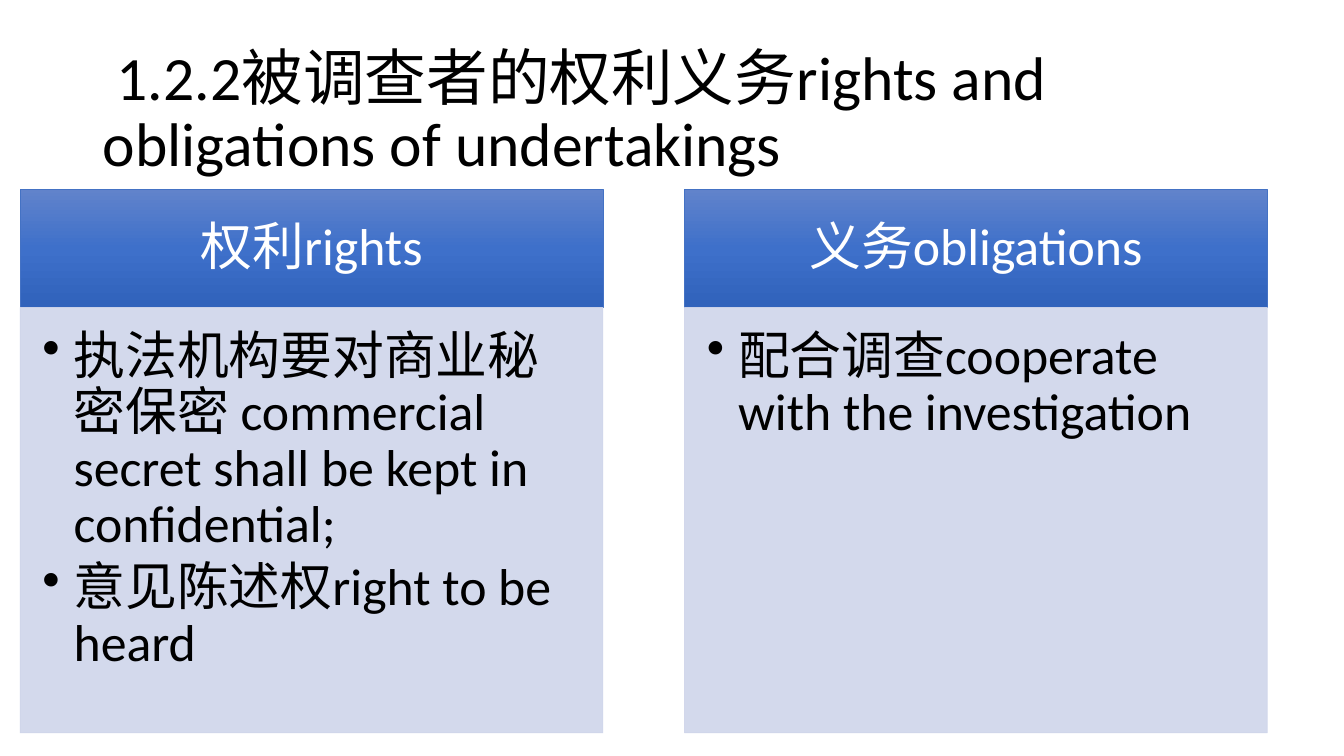
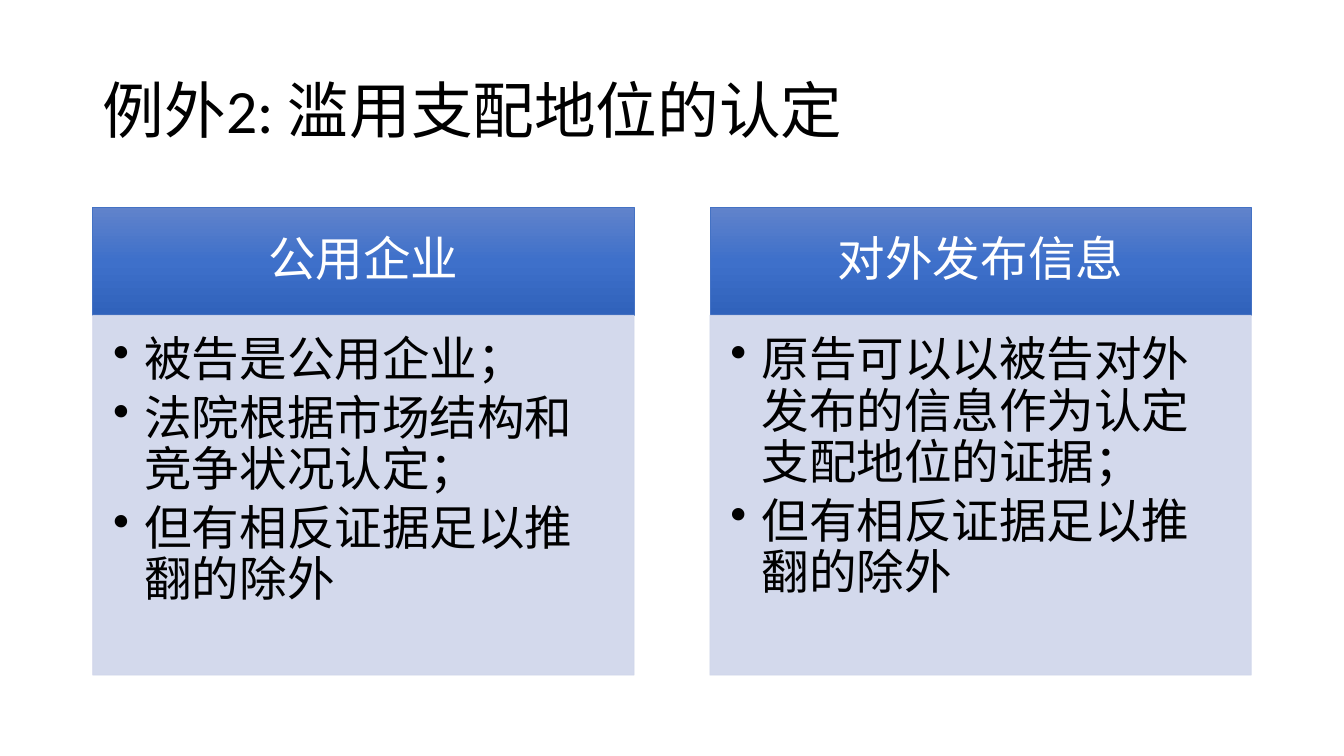
from copy import deepcopy

from pptx import Presentation
from pptx import util as u
from pptx.dml.color import RGBColor
from pptx.enum import shapes, text
from pptx.oxml.ns import qn
from pptx.oxml.xmlchemy import OxmlElement

COLOURS = {
    "ink": "000000",
    "white": "FFFFFF",
    "header_top": "6183CB",
    "header_middle": "3E70CA",
    "header_bottom": "3062BB",
    "header_line": "4472C4",
    "panel": "CFD5EA",
}
FONT = "Calibri"
GAP_SHARE = 0.14
HEADER_INSETS = (0.56, 0.31, 0.56, 0.31)
PANEL_INSETS = (0.43, 0.43, 0.56, 0.63)

SLIDES = [
    {
        "title": " 1.2.2被调查者的权利义务rights and obligations of undertakings",
        "left": 1.5, "top": 25.07, "width": 43.36, "header": 15.6, "panel": 56.27,
        "size": 37,
        "columns": [
            ("权利rights", [
                "执法机构要对商业秘密保密 commercial secret shall be kept in confidential;",
                "意见陈述权right to be heard",
            ]),
            ("义务obligations", ["配合调查cooperate with the investigation"]),
        ],
    },
    {
        "title": "例外2: 滥用支配地位的认定",
        "left": 6.9, "top": 27.4, "width": 40.28, "header": 14.3, "panel": 47.6,
        "size": 34,
        "columns": [
            ("公用企业", [
                "被告是公用企业；",
                "法院根据市场结构和竞争状况认定；",
                "但有相反证据足以推翻的除外",
            ]),
            ("对外发布信息", [
                "原告可以以被告对外发布的信息作为认定支配地位的证据；",
                "但有相反证据足以推翻的除外",
            ]),
        ],
    },
]

deck = Presentation()
deck.slide_width, deck.slide_height = u.Inches(13.33), u.Inches(7.5)
COLUMN, ROW = deck.slide_width / 100, deck.slide_height / 100


def add_block(page, left, top, width, height, line, insets, size):
    box = page.shapes.add_shape(
        shapes.MSO_SHAPE.RECTANGLE,
        round(left * COLUMN), round(top * ROW),
        round(width * COLUMN), round(height * ROW),
    )
    box.shadow.inherit = False
    box.line.color.rgb = RGBColor.from_string(COLOURS[line])
    box.line.width = u.Pt(0.5)
    frame = box.text_frame
    frame.word_wrap = True
    frame.margin_left, frame.margin_top, frame.margin_right, frame.margin_bottom = (
        u.Pt(share * size) for share in insets
    )
    return box


def write(para, words, size, colour, align):
    para.alignment = align
    para.line_spacing = 0.9
    span = para.add_run()
    span.text = words
    span.font.name = FONT
    span.font.size = u.Pt(size)
    span.font.color.rgb = RGBColor.from_string(COLOURS[colour])


for content in SLIDES:
    page = deck.slides.add_slide(deck.slide_layouts[5])
    title = page.shapes.title
    title.left, title.top = round(6.9 * COLUMN), round(5.33 * ROW)
    title.width, title.height = round(86.25 * COLUMN), round(19.33 * ROW)
    title.text_frame.auto_size = text.MSO_AUTO_SIZE.NONE
    title.text_frame.vertical_anchor = text.MSO_ANCHOR.MIDDLE
    write(title.text_frame.paragraphs[0], content["title"], 44, "ink", text.PP_ALIGN.LEFT)

    size, width = content["size"], content["width"]
    for index, (heading, points) in enumerate(content["columns"]):
        left = content["left"] + index * width * (1 + GAP_SHARE)

        header = add_block(page, left, content["top"], width, content["header"],
                           "header_line", HEADER_INSETS, size)
        header.fill.gradient()
        header.fill.gradient_angle = 270
        stop_list = header._element.spPr.find(".//" + qn("a:gsLst"))
        stop_list.append(deepcopy(stop_list[0]))
        names = ("header_top", "header_middle", "header_bottom")
        for step, (stop, name) in enumerate(zip(header.fill.gradient_stops, names)):
            stop.position = step / 2
            stop.color.rgb = RGBColor.from_string(COLOURS[name])
        header.text_frame.vertical_anchor = text.MSO_ANCHOR.MIDDLE
        write(header.text_frame.paragraphs[0], heading, size, "white", text.PP_ALIGN.CENTER)

        panel = add_block(page, left, content["top"] + content["header"], width,
                          content["panel"], "panel", PANEL_INSETS, size)
        panel.fill.solid()
        panel.fill.fore_color.rgb = RGBColor.from_string(COLOURS["panel"])
        for colour in panel._element.spPr.findall(".//" + qn("a:srgbClr")):
            alpha = OxmlElement("a:alpha")
            alpha.set("val", "90000")
            colour.append(alpha)

        frame = panel.text_frame
        frame.vertical_anchor = text.MSO_ANCHOR.TOP
        for number, point in enumerate(points):
            para = frame.add_paragraph() if number else frame.paragraphs[0]
            properties = para._p.get_or_add_pPr()
            properties.set("marL", str(u.Inches(0.31)))
            properties.set("indent", str(-u.Inches(0.31)))
            bullet = OxmlElement("a:buChar")
            bullet.set("char", "•")
            properties.append(bullet)
            para.space_after = u.Pt(round(size * 0.15, 1))
            write(para, point, size, "ink", text.PP_ALIGN.LEFT)

deck.save("out.pptx")
